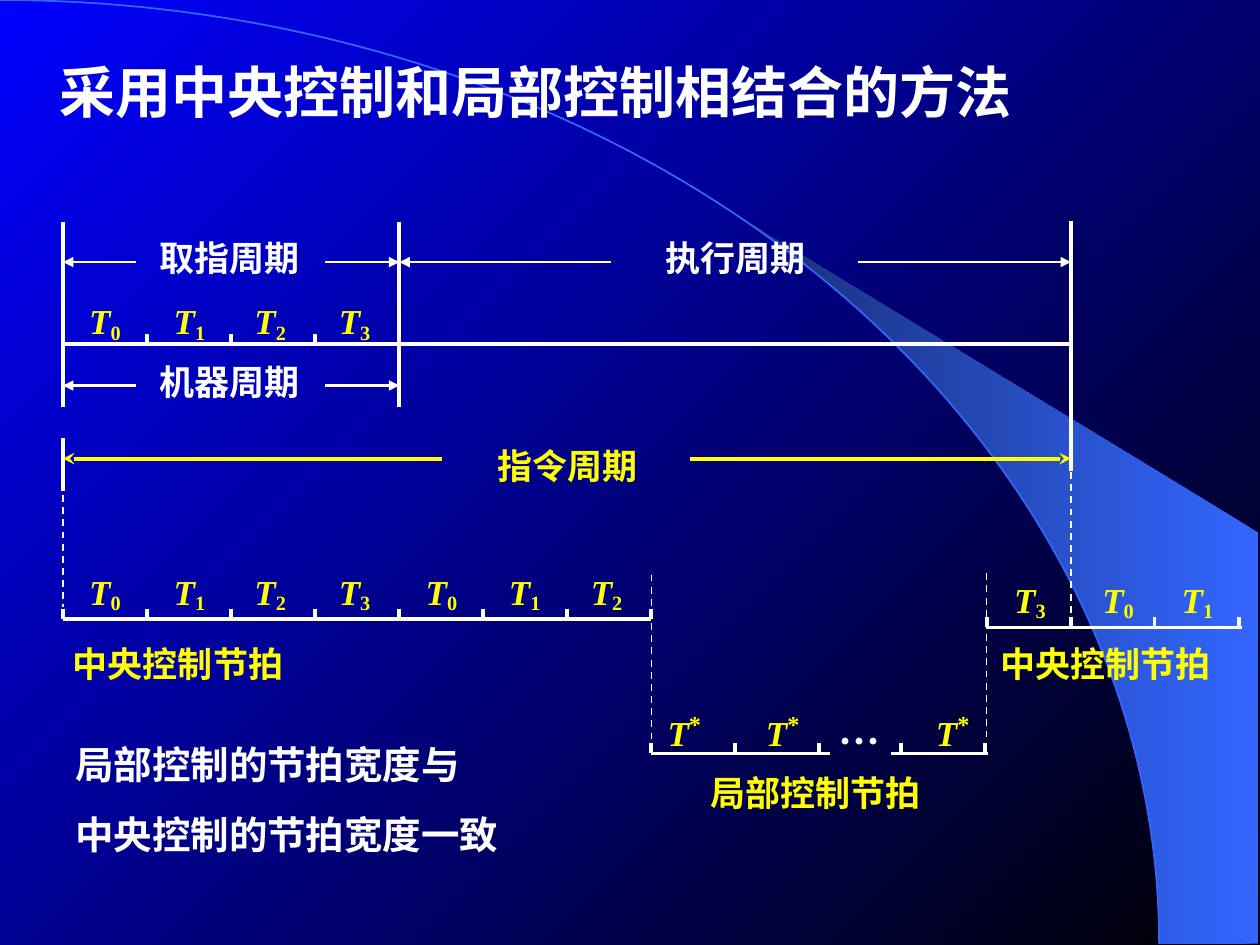
from math import cos, radians, sin

from lxml.etree import SubElement
from pptx import Presentation
from pptx.dml.color import RGBColor
from pptx.enum.dml import MSO_LINE
from pptx.enum.shapes import MSO_CONNECTOR
from pptx.enum.text import MSO_AUTO_SIZE
from pptx.oxml.ns import qn
from pptx.util import Inches, Pt

WHITE, YELLOW, BLUE = "FFFFFF", "FFFF00", "3366FF"
SERIF, SANS = "Times New Roman", "Noto Sans CJK SC"
LEFT, STEP = 0.5, 2 / 3
FETCH, LOCAL, BACK, END = 3.17, 5.17, 7.83, 8.5


def color(code):
    return RGBColor.from_string(code)


def blend(fill, first, last, angle):
    fill.gradient()
    fill.gradient_angle = angle
    for stop, code in zip(fill.gradient_stops, (first, last)):
        stop.color.rgb = color(code)


def curve(start):
    angles = [radians(deg) for deg in range(start, 91)]
    return [(9.2 * sin(a), 7.49 * (1 - cos(a))) for a in angles]


def outline(slide, points, close):
    spots = [(Inches(x), Inches(y)) for x, y in points]
    path = slide.shapes.build_freeform(*spots[0])
    path.add_line_segments(spots[1:], close=close)
    shape = path.convert_to_shape()
    shape.shadow.inherit = False
    return shape


def backdrop(slide):
    blend(slide.background.fill, "000000", "0000FF", 135)
    wedge = outline(slide, curve(40) + [(9.99, 7.49), (9.99, 4.23)], True)
    blend(wedge.fill, BLUE, "172F75", 180)
    wedge.line.fill.background()
    arc = outline(slide, curve(0), False)
    arc.fill.background()
    arc.line.color.rgb = color(BLUE)
    arc.line.width = Pt(1)


def line(slide, x1, y1, x2, y2, code=WHITE, width=2.25, dash=False, head=None):
    ends = [Inches(v) for v in (x1, y1, x2, y2)]
    link = slide.shapes.add_connector(MSO_CONNECTOR.STRAIGHT, *ends)
    link.line.color.rgb = color(code)
    link.line.width = Pt(width)
    if dash:
        link.line.dash_style = MSO_LINE.DASH
    if head:
        SubElement(link.line._get_or_add_ln(), qn("a:tailEnd"), type=head)
    SubElement(link._element.spPr, qn("a:effectLst"))


def style(run, size, code, face=SERIF, italic=False, base=0):
    font = run.font
    font.size = Pt(size)
    font.bold = True
    font.italic = italic
    font.name = face
    font.color.rgb = color(code)
    props = run._r.get_or_add_rPr()
    SubElement(props, qn("a:ea"), typeface=SANS)
    if base:
        props.set("baseline", str(base * 1000))


def box(slide, x, y, w, h, wrap=False):
    shape = slide.shapes.add_textbox(*[Inches(v) for v in (x, y, w, h)])
    frame = shape.text_frame
    frame.word_wrap = wrap
    frame.auto_size = MSO_AUTO_SIZE.SHAPE_TO_FIT_TEXT
    return frame


def label(slide, text, x, y, w, h=0.44, size=20, code=WHITE, face=SERIF,
          wrap=False, gap=0):
    frame = box(slide, x, y, w, h, wrap)
    frame.text = text
    for i, para in enumerate(frame.paragraphs):
        if i:
            para.space_before = Pt(gap)
        style(para.runs[0], size, code, face)


def beat(slide, mark, x, y):
    star = mark == "*"
    size = (0.5, 0.5) if star else (0.45, 0.45)
    para = box(slide, x, y, *size).paragraphs[0]
    for text in ("T", mark):
        para.add_run().text = text
    main, sub = para.runs
    style(main, 20, YELLOW, italic=True)
    style(sub, 24 if star else 20, YELLOW, base=30 if star else -15)


def beats(slide, marks, spots, y):
    for mark, x in zip(marks, spots):
        beat(slide, mark, x, y)


def ticks(slide, start, count, y):
    for i in range(count):
        x = start + i * STEP
        line(slide, x, y - 0.08, x, y)


def span(slide, text, x1, x2, y, inner, left, top, code=WHITE, width=1.5,
         head="triangle"):
    for end, near in zip((x1, x2), inner):
        line(slide, near, y, end, y, code, width, head=head)
    label(slide, text, left, top, 1.31, code=code)


def cycles(slide):
    for x, top, low in ((LEFT, 1.76, 3.23), (FETCH, 1.76, 3.23),
                        (END, 1.75, 3.74), (LEFT, 3.48, 3.9)):
        line(slide, x, top, x, low)
    line(slide, LEFT, 2.73, END, 2.73)
    ticks(slide, LEFT + STEP, 3, 2.73)
    beats(slide, "0123", (0.61, 1.28, 1.92, 2.59), 2.33)
    span(slide, "取指周期", LEFT, FETCH, 2.08, (1.08, 2.58), 1.17, 1.83)
    span(slide, "执行周期", FETCH, END, 2.08, (4.85, 6.81), 5.18, 1.83)
    span(slide, "机器周期", LEFT, FETCH, 3.06, (1.08, 2.58), 1.17, 2.81)
    span(slide, "指令周期", LEFT, END, 3.64, (3.51, 5.48), 3.85, 3.48,
         YELLOW, 2.25, "stealth")


def central(slide):
    line(slide, LEFT, 4.91, LOCAL, 4.91)
    ticks(slide, LEFT, 8, 4.91)
    beats(slide, "0123012", (0.61, 1.28, 1.92, 2.59, 3.28, 3.94, 4.59), 4.48)
    line(slide, BACK, 4.98, 9.86, 4.98)
    ticks(slide, BACK, 4, 4.98)
    beats(slide, "301", (7.95, 8.65, 9.28), 4.54)
    for x in (0.48, 7.84):
        label(slide, "中央控制节拍", x, 5.05, 1.87, code=YELLOW)


def local(slide):
    line(slide, LOCAL, 5.98, 6.59, 5.98)
    ticks(slide, LOCAL, 3, 5.98)
    line(slide, 7.07, 5.98, 7.84, 5.98)
    ticks(slide, 7.15, 2, 5.98)
    beats(slide, "***", (5.2, 5.98, 7.33), 5.54)
    label(slide, "…", 6.56, 5.63, 0.79, 0.5, 24, face=SANS, wrap=True)
    label(slide, "局部控制节拍", 5.54, 6.07, 1.87, code=YELLOW)


def main():
    deck = Presentation()
    deck.slide_width, deck.slide_height = Inches(10), Inches(7.5)
    slide = deck.slides.add_slide(deck.slide_layouts[6])
    backdrop(slide)
    label(slide, "采用中央控制和局部控制相结合的方法", 0.37, 0.41, 8.89, 0.64,
          32, wrap=True)
    for x, top, low in ((LOCAL, 4.56, 5.87), (BACK, 4.55, 5.85),
                        (END, 3.65, 4.89), (LEFT, 3.64, 4.82)):
        line(slide, x, top, x, low, width=1, dash=True)
    central(slide)
    cycles(slide)
    label(slide, "局部控制的节拍宽度与\n中央控制的节拍宽度一致", 0.5, 5.83, 4.92,
          1.03, 22, wrap=True, gap=13.8)
    local(slide)
    deck.save("out.pptx")


if __name__ == "__main__":
    main()
